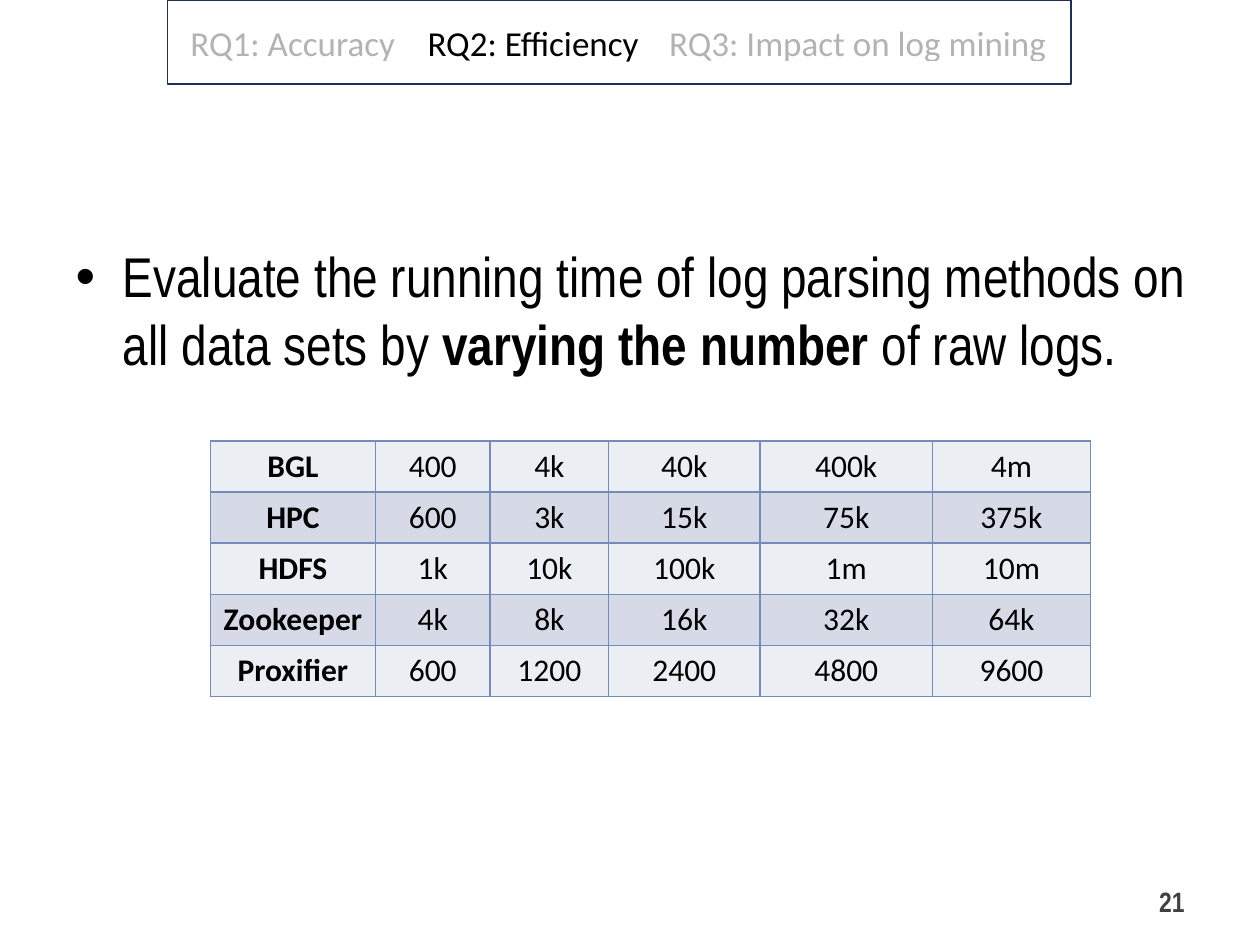
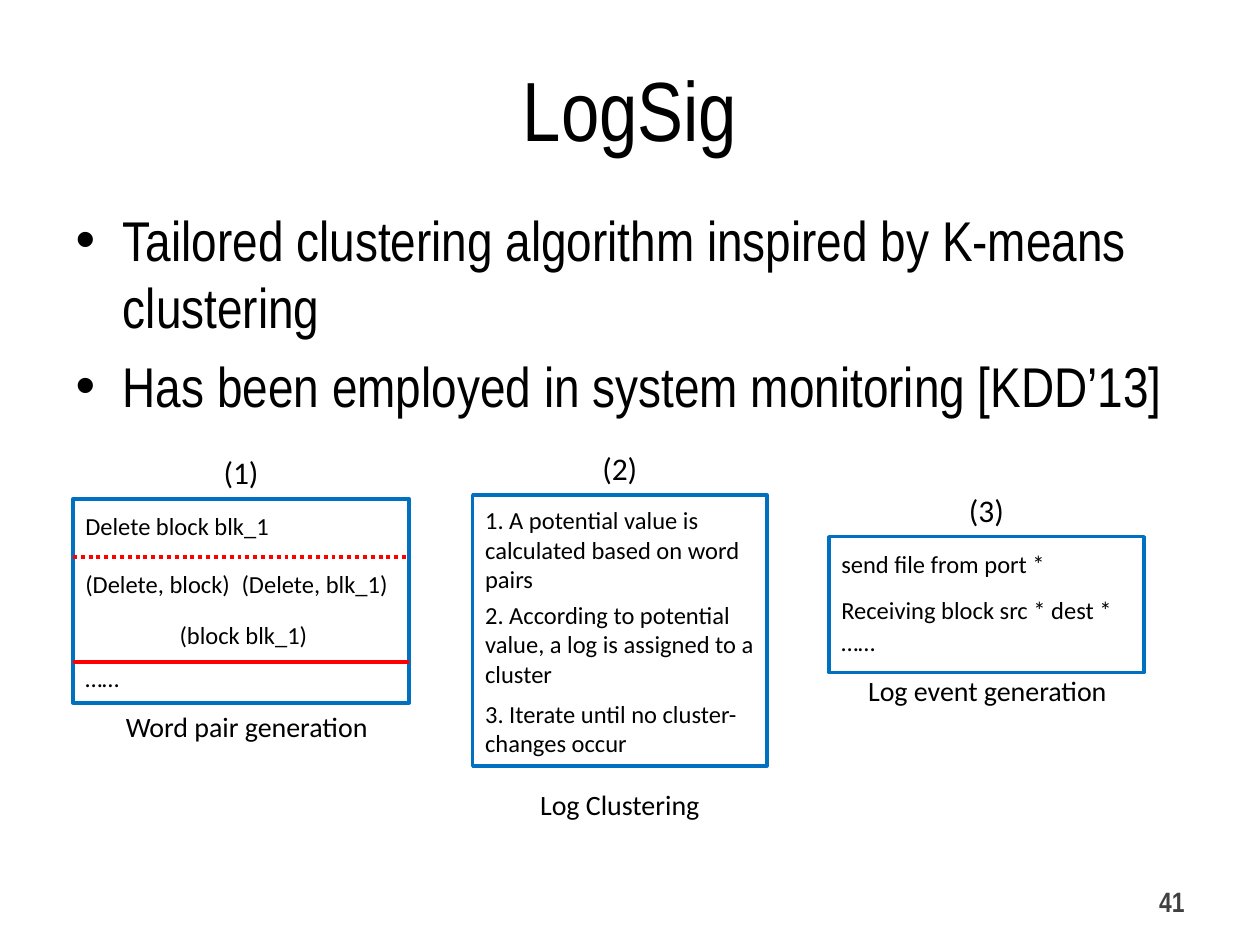
from lxml import etree
from pptx import Presentation
from pptx.dml.color import RGBColor
from pptx.enum import dml, shapes, text
from pptx.oxml import ns
from pptx.util import Cm, Pt

COLOURS = {
    "ink": "000000", "paper": "FFFFFF", "number": "404040",
    "navy": "1E3054", "frame": "0070C0", "divider": "FF0000",
    "border": "748CBC", "light row": "EBEEF3", "dark row": "D6DAE7",
}
HEADING_FONT = "Arial Narrow"
LABEL_FONT = "Calibri"

LOG_SIZES = [
    ["BGL", "400", "4k", "40k", "400k", "4m"],
    ["HPC", "600", "3k", "15k", "75k", "375k"],
    ["HDFS", "1k", "10k", "100k", "1m", "10m"],
    ["Zookeeper", "4k", "8k", "16k", "32k", "64k"],
    ["Proxifier", "600", "1200", "2400", "4800", "9600"],
]
COLUMN_WIDTHS = [3.33, 2.31, 2.39, 3.05, 3.48, 3.18]
ROW_HEIGHT = 1.03
STEP_HEIGHT = 1.07


def colour(name):
    return RGBColor.from_string(COLOURS[name])


def sub(parent, tag, **attributes):
    return etree.SubElement(parent, ns.qn(tag), attributes)


def place(item, left, top, width, height):
    item.left, item.top, item.width, item.height = map(Cm, (left, top, width, height))


# Text
def add_span(para, words, size, font=LABEL_FONT, bold=False, ink="ink"):
    span = para.add_run()
    span.text = words
    span.font.name, span.font.size, span.font.bold = font, Pt(size), bold
    span.font.color.rgb = colour(ink)


def add_tabs(para, *stops):
    tabs = sub(para._p.get_or_add_pPr(), "a:tabLst")
    for stop in stops:
        sub(tabs, "a:tab", pos=str(Cm(stop)), algn="l")


def add_label(parent, frame, words, size, align=text.PP_ALIGN.LEFT,
              anchor=text.MSO_ANCHOR.TOP, **style):
    box = parent.shapes.add_textbox(*map(Cm, frame))
    box.text_frame.word_wrap = True
    box.text_frame.vertical_anchor = anchor
    para = box.text_frame.paragraphs[0]
    para.alignment = align
    add_span(para, words, size, **style)
    return para


def fill_title(page, words):
    title = page.shapes.title
    place(title, 1.27, 0.76, 22.86, 2.85)
    para = title.text_frame.paragraphs[0]
    para.alignment = text.PP_ALIGN.CENTER
    add_span(para, words, 48, HEADING_FONT)


def fill_bullets(page, top, height, bullets):
    """Each bullet is a list of (words, bold) pairs."""
    body = page.placeholders[1]
    place(body, 1.27, top, 23.29, height)
    frame = body.text_frame
    frame.auto_size = text.MSO_AUTO_SIZE.NONE
    for index, spans in enumerate(bullets):
        para = frame.add_paragraph() if index else frame.paragraphs[0]
        para.space_before = Pt(6.4 if index else 0)
        for words, bold in spans:
            add_span(para, words, 32, HEADING_FONT, bold)


def add_page_number(page, number):
    add_label(page, (18.21, 17.65, 5.92, 1.02), number, 16, text.PP_ALIGN.RIGHT,
              text.MSO_ANCHOR.MIDDLE, font=HEADING_FONT, bold=True, ink="number")


# Shapes
def add_box(parent, frame, line, width, fill=None):
    box = parent.shapes.add_shape(shapes.MSO_SHAPE.RECTANGLE, *map(Cm, frame))
    box.shadow.inherit = False
    box.line.color.rgb, box.line.width = colour(line), Pt(width)
    if fill:
        box.fill.solid()
        box.fill.fore_color.rgb = colour(fill)
    else:
        box.fill.background()
    return box


def add_veil(page, frame):
    veil = add_box(page, frame, "paper", 2, "paper")
    fill = veil._element.spPr.find(ns.qn("a:solidFill"))
    sub(fill[0], "a:alpha", val="70000")


def add_divider(parent, left, top, width, dash=None):
    line = parent.shapes.add_connector(
        shapes.MSO_CONNECTOR.STRAIGHT, *map(Cm, (left, top, left + width, top)))
    line.line.color.rgb, line.line.width = colour("divider"), Pt(2.25)
    if dash:
        line.line.dash_style = dash
    sub(line._element.spPr, "a:effectLst")


def add_question_bar(page):
    bar = add_box(page, (3.38, 0, 18.21, 1.7), "navy", 1, "paper")
    bar.text_frame.margin_left = Cm(0.46)
    bar.text_frame.vertical_anchor = text.MSO_ANCHOR.MIDDLE
    para = bar.text_frame.paragraphs[0]
    para.alignment = text.PP_ALIGN.LEFT
    add_tabs(para, 4.78, 9.65)
    add_span(para, "RQ1: Accuracy\tRQ2: Efficiency\tRQ3: Impact on log mining", 20)
    # Fade the questions that are not discussed here
    add_veil(page, (13.34, 0.43, 8.05, 0.84))
    add_veil(page, (3.81, 0.43, 4.24, 0.84))


# Table
def style_cell(cell, words, fill, bold):
    cell.fill.solid()
    cell.fill.fore_color.rgb = colour(fill)
    para = cell.text_frame.paragraphs[0]
    para.alignment = text.PP_ALIGN.CENTER
    add_span(para, words, 18, bold=bold)
    properties = cell._tc.get_or_add_tcPr()
    for index, side in enumerate(("a:lnL", "a:lnR", "a:lnT", "a:lnB")):
        border = etree.Element(ns.qn(side), w=str(Pt(1)))
        sub(sub(border, "a:solidFill"), "a:srgbClr", val=COLOURS["border"])
        properties.insert(index, border)


def add_size_table(page):
    count = len(LOG_SIZES)
    table = page.shapes.add_table(
        count, len(COLUMN_WIDTHS), Cm(4.24), Cm(8.89),
        Cm(sum(COLUMN_WIDTHS)), Cm(count * ROW_HEIGHT)).table
    table.first_row = False
    for column, width in zip(table.columns, COLUMN_WIDTHS):
        column.width = Cm(width)
    for row, values in enumerate(LOG_SIZES):
        table.rows[row].height = Cm(ROW_HEIGHT)
        fill = "dark row" if row % 2 else "light row"
        for column, words in enumerate(values):
            style_cell(table.cell(row, column), words, fill, bold=column == 0)


# Numbered panel with its steps and caption
def add_panel(page, number, frame, caption, caption_frame, steps):
    left, top, width, _ = frame
    group = page.shapes.add_group_shape()
    add_box(group, frame, "frame", 2)
    add_label(group, (*caption_frame, 0.95), caption, 16, text.PP_ALIGN.CENTER)
    add_label(group, (left + 0.2 * width, top - 1.05, 0.6 * width, 1.03),
              f"({number})", 18, text.PP_ALIGN.CENTER)
    paras = [add_label(group, (left, step_top, width, STEP_HEIGHT), words, 14,
                       anchor=text.MSO_ANCHOR.MIDDLE)
             for step_top, words in steps]
    return group, paras


def build_efficiency(page):
    title = page.shapes.title._element
    title.getparent().remove(title)
    add_page_number(page, "21")
    add_size_table(page)
    add_question_bar(page)
    fill_bullets(page, 4.75, 3.9, [[
        ("Evaluate the running time of log parsing methods on all data sets by ", False),
        ("varying the number", True),
        (" of raw logs.", False),
    ]])


def build_logsig(page):
    fill_title(page, "LogSig")
    fill_bullets(page, 4.02, 13, [
        [("Tailored clustering algorithm inspired by K-means clustering", False)],
        [("Has been employed in system monitoring [KDD’13]", False)],
    ])
    add_page_number(page, "41")

    group, paras = add_panel(
        page, 1, (1.47, 10.06, 6.78, 4.11),
        "Word pair generation", (1.7, 14.17, 6.55), [
            (10.06, "Delete block blk_1"),
            (11.23, "(Delete, block)\t(Delete, blk_1)"),
            (12.27, "(block blk_1)"),
            (13.13, "……"),
        ])
    add_tabs(paras[1], 3.15)
    paras[2]._p.get_or_add_pPr().set("marL", str(Cm(1.9)))
    add_divider(group, 1.47, 11.23, 6.78, dml.MSO_LINE.ROUND_DOT)
    add_divider(group, 1.47, 13.34, 6.78)

    add_panel(
        page, 3, (16.71, 10.82, 6.35, 2.74),
        "Log event generation", (17.15, 13.46, 5.51), [
            (10.82, "send file from port *"),
            (11.76, "Receiving block src * dest *"),
            (12.4, "……"),
        ])
    add_panel(
        page, 2, (9.53, 9.98, 5.93, 5.46),
        "Log Clustering", (9.93, 15.75, 5.13), [
            (10.54, "1. A potential value is calculated based on word pairs"),
            (12.45, "2. According to potential value, a log is assigned to a cluster"),
            (14.15, "3. Iterate until no cluster-changes occur"),
        ])


def main():
    deck = Presentation()
    deck.slide_width, deck.slide_height = Cm(25.4), Cm(19.05)
    for build in (build_efficiency, build_logsig):
        build(deck.slides.add_slide(deck.slide_layouts[1]))
    deck.save("out.pptx")


if __name__ == "__main__":
    main()
